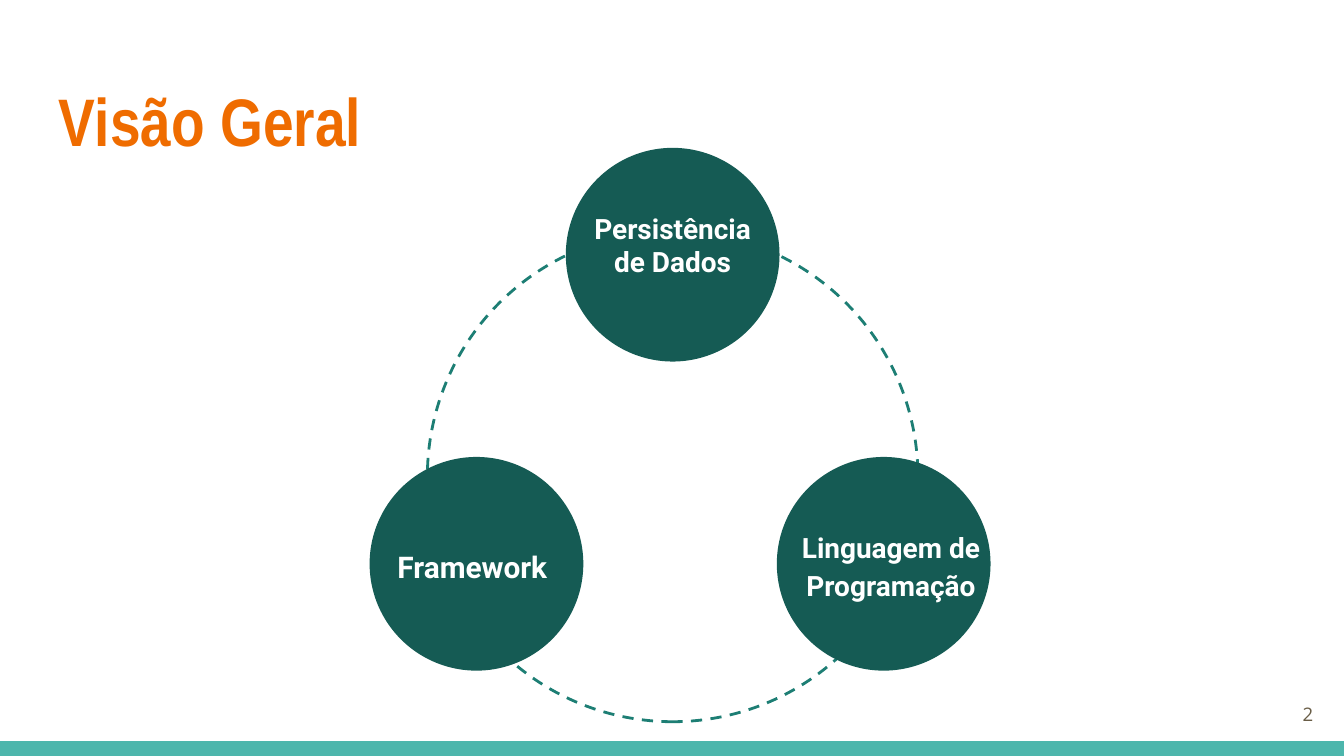
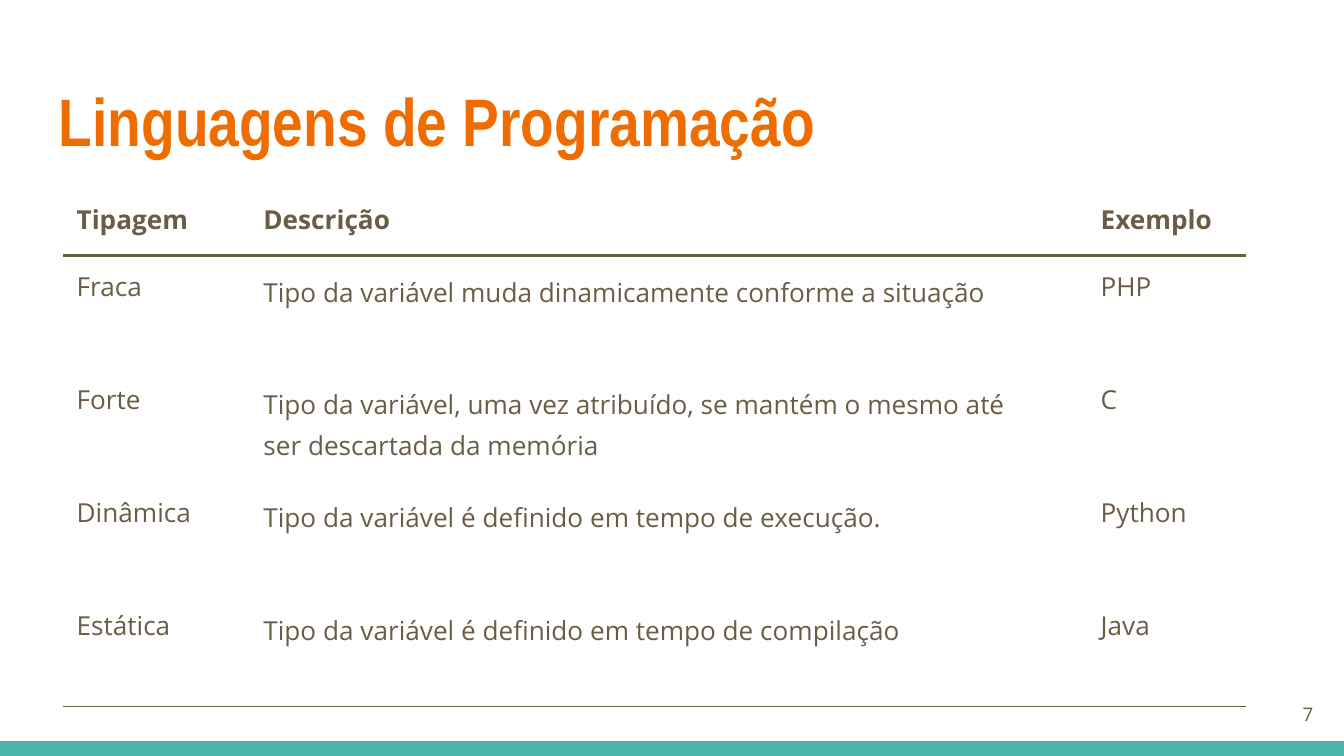
from dataclasses import dataclass
from typing import Optional

from lxml import etree
from pptx import Presentation
from pptx.dml.color import RGBColor
from pptx.enum.dml import MSO_LINE
from pptx.enum.shapes import MSO_SHAPE
from pptx.enum.text import MSO_ANCHOR, PP_ALIGN
from pptx.oxml.ns import qn
from pptx.util import Inches, Pt

ELLIPSE, RECTANGLE = MSO_SHAPE.OVAL, MSO_SHAPE.RECTANGLE
DASH = MSO_LINE.DASH
TOP, MIDDLE = MSO_ANCHOR.TOP, MSO_ANCHOR.MIDDLE
LEFT, CENTER, RIGHT = PP_ALIGN.LEFT, PP_ALIGN.CENTER, PP_ALIGN.RIGHT

COLORS = {
    "background": "FFFFFF",
    "band": "4DB6AC",
    "title": "EF6C00",
    "body": "695D46",
    "ring": "1D7E74",
    "topic": "155B54",
    "topic_label": "FFFFFF",
}
SLIDE_WIDTH = 10
SLIDE_HEIGHT = SLIDE_WIDTH * 9 / 16
BAND_HEIGHT = 0.11
INSET = 0.1
TOPIC_DIAMETER = 1.59
HEADER_HEIGHT, ROW_HEIGHT = 0.41, 0.84
COLUMN_WIDTHS = (1.39, 5.81, 0.42, 1.18)
HEADER_RULE, CLOSING_RULE = 1.5, 0.75


@dataclass(frozen=True)
class TextStyle:
    font: str
    size: float
    color: str
    bold: bool = False
    align: PP_ALIGN = LEFT
    spacing: Optional[float] = None
    after: Optional[float] = None


@dataclass(frozen=True)
class Topic:
    label: str
    left: float
    top: float
    label_left: float
    label_width: float
    size: float
    spacing: Optional[float] = None
    bottom_inset: float = INSET


@dataclass(frozen=True)
class Typing:
    name: str
    description: str
    example: str


TITLE_STYLE = TextStyle("Arial Narrow", 36, "title", bold=True)
NUMBER_STYLE = TextStyle("Open Sans", 10, "body", align=RIGHT)
HEADER_STYLE = TextStyle("Open Sans", 14, "body", bold=True)
CELL_STYLE = TextStyle("Open Sans", 14, "body")
DESCRIPTION_STYLE = TextStyle("Open Sans", 14, "body", spacing=1.15, after=10)
LAST_DESCRIPTION_STYLE = TextStyle("Open Sans", 14, "body", spacing=1.15)

TOPICS = (
    Topic("Persistência de Dados", 4.21, 1.1, 4.21, 1.59, 15, bottom_inset=0.25),
    Topic("Framework", 2.75, 3.4, 2.75, 1.53, 16, 1.15),
    Topic("Linguagem de Programação", 5.78, 3.4, 5.73, 1.8, 15, 1.15),
)
HEADER = Typing("Tipagem", "Descrição", "Exemplo")
TYPINGS = (
    Typing("Fraca", "Tipo da variável muda dinamicamente conforme a situação", "PHP"),
    Typing(
        "Forte",
        "Tipo da variável, uma vez atribuído, se mantém o mesmo até "
        "ser descartada da memória",
        "C",
    ),
    Typing("Dinâmica", "Tipo da variável é definido em tempo de execução.", "Python"),
    Typing("Estática", "Tipo da variável é definido em tempo de compilação", "Java"),
)


def rgb(name: str) -> RGBColor:
    return RGBColor.from_string(COLORS[name])


def write(frame, text: str, style: TextStyle) -> None:
    frame.text = text
    for paragraph in frame.paragraphs:
        paragraph.alignment = style.align
        if style.spacing is not None:
            paragraph.line_spacing = style.spacing
        if style.after is not None:
            paragraph.space_after = Pt(style.after)
        for run in paragraph.runs:
            run.font.name = style.font
            run.font.size = Pt(style.size)
            run.font.bold = style.bold
            run.font.color.rgb = rgb(style.color)


def add_text(shapes, left: float, top: float, width: float, height: float,
             text: str, style: TextStyle, anchor: MSO_ANCHOR = TOP,
             bottom_inset: float = INSET) -> None:
    frame = shapes.add_textbox(
        Inches(left), Inches(top), Inches(width), Inches(height)
    ).text_frame
    frame.word_wrap = True
    frame.vertical_anchor = anchor
    frame.margin_left = frame.margin_right = frame.margin_top = Inches(INSET)
    frame.margin_bottom = Inches(bottom_inset)
    write(frame, text, style)


def add_filled(shapes, preset: MSO_SHAPE, left: float, top: float,
               width: float, height: float, color: str) -> None:
    shape = shapes.add_shape(
        preset, Inches(left), Inches(top), Inches(width), Inches(height)
    )
    shape.shadow.inherit = False
    shape.fill.solid()
    shape.fill.fore_color.rgb = rgb(color)
    shape.line.fill.background()


def add_base_slide(deck):
    slide = deck.slides.add_slide(deck.slide_layouts[6])
    slide.background.fill.solid()
    slide.background.fill.fore_color.rgb = rgb("background")
    add_filled(slide.shapes, RECTANGLE, 0, SLIDE_HEIGHT - BAND_HEIGHT,
               SLIDE_WIDTH, BAND_HEIGHT, "band")
    return slide


def add_heading(slide, title: str, number: int) -> None:
    add_text(slide.shapes, 0.34, 0.49, 9.32, 0.77, title, TITLE_STYLE)
    add_text(slide.shapes, 9.27, 5.1, 0.6, 0.43, str(number), NUMBER_STYLE, MIDDLE)


def add_ring(slide) -> None:
    ring = slide.shapes.add_shape(
        ELLIPSE, Inches(3.18), Inches(1.72), Inches(3.65), Inches(3.65)
    )
    ring.rotation = 270
    ring.shadow.inherit = False
    ring.fill.background()
    ring.line.color.rgb = rgb("ring")
    ring.line.width = Pt(1.5)
    ring.line.dash_style = DASH


def add_topic(slide, topic: Topic) -> None:
    group = slide.shapes.add_group_shape()
    add_filled(group.shapes, ELLIPSE, topic.left, topic.top,
               TOPIC_DIAMETER, TOPIC_DIAMETER, "topic")
    style = TextStyle("Roboto", topic.size, "topic_label", True, CENTER, topic.spacing)
    add_text(group.shapes, topic.label_left, topic.top, topic.label_width,
             TOPIC_DIAMETER, topic.label, style, MIDDLE, topic.bottom_inset)


def set_borders(cell, top: float, bottom: float) -> None:
    properties = cell._tc.get_or_add_tcPr()
    for side, width in (("L", 0), ("R", 0), ("T", top), ("B", bottom)):
        border = etree.SubElement(properties, qn(f"a:ln{side}"))
        if width:
            border.set("w", str(Pt(width)))
            fill = etree.SubElement(border, qn("a:solidFill"))
            etree.SubElement(fill, qn("a:srgbClr")).set("val", COLORS["body"])
        else:
            etree.SubElement(border, qn("a:noFill"))


def add_typing_table(slide) -> None:
    entries = (HEADER, *TYPINGS)
    last = len(entries) - 1
    table = slide.shapes.add_table(
        len(entries), len(COLUMN_WIDTHS), Inches(0.47), Inches(1.4),
        Inches(sum(COLUMN_WIDTHS)), Inches(HEADER_HEIGHT + last * ROW_HEIGHT),
    ).table
    table.first_row = table.horz_banding = False
    for column, width in zip(table.columns, COLUMN_WIDTHS):
        column.width = Inches(width)
    for index, entry in enumerate(entries):
        table.rows[index].height = Inches(ROW_HEIGHT if index else HEADER_HEIGHT)
        style = CELL_STYLE if index else HEADER_STYLE
        description_style = (
            HEADER_STYLE if index == 0
            else LAST_DESCRIPTION_STYLE if index == last
            else DESCRIPTION_STYLE
        )
        texts = (entry.name, entry.description, "", entry.example)
        styles = (style, description_style, style, style)
        top = HEADER_RULE if index == 1 else 0
        bottom = {0: HEADER_RULE, last: CLOSING_RULE}.get(index, 0)
        for cell, text, text_style in zip(table.rows[index].cells, texts, styles):
            cell.margin_left = cell.margin_right = Inches(INSET)
            cell.margin_top = cell.margin_bottom = Inches(INSET)
            set_borders(cell, top, bottom)
            cell.fill.background()
            write(cell.text_frame, text, text_style)


def build_overview(deck) -> None:
    slide = add_base_slide(deck)
    add_ring(slide)
    add_heading(slide, "Visão Geral", 2)
    for topic in TOPICS:
        add_topic(slide, topic)


def build_languages(deck) -> None:
    slide = add_base_slide(deck)
    add_heading(slide, "Linguagens de Programação", 7)
    add_typing_table(slide)


def main() -> None:
    deck = Presentation()
    deck.slide_width = Inches(SLIDE_WIDTH)
    deck.slide_height = Inches(SLIDE_HEIGHT)
    build_overview(deck)
    build_languages(deck)
    deck.save("out.pptx")


main()
